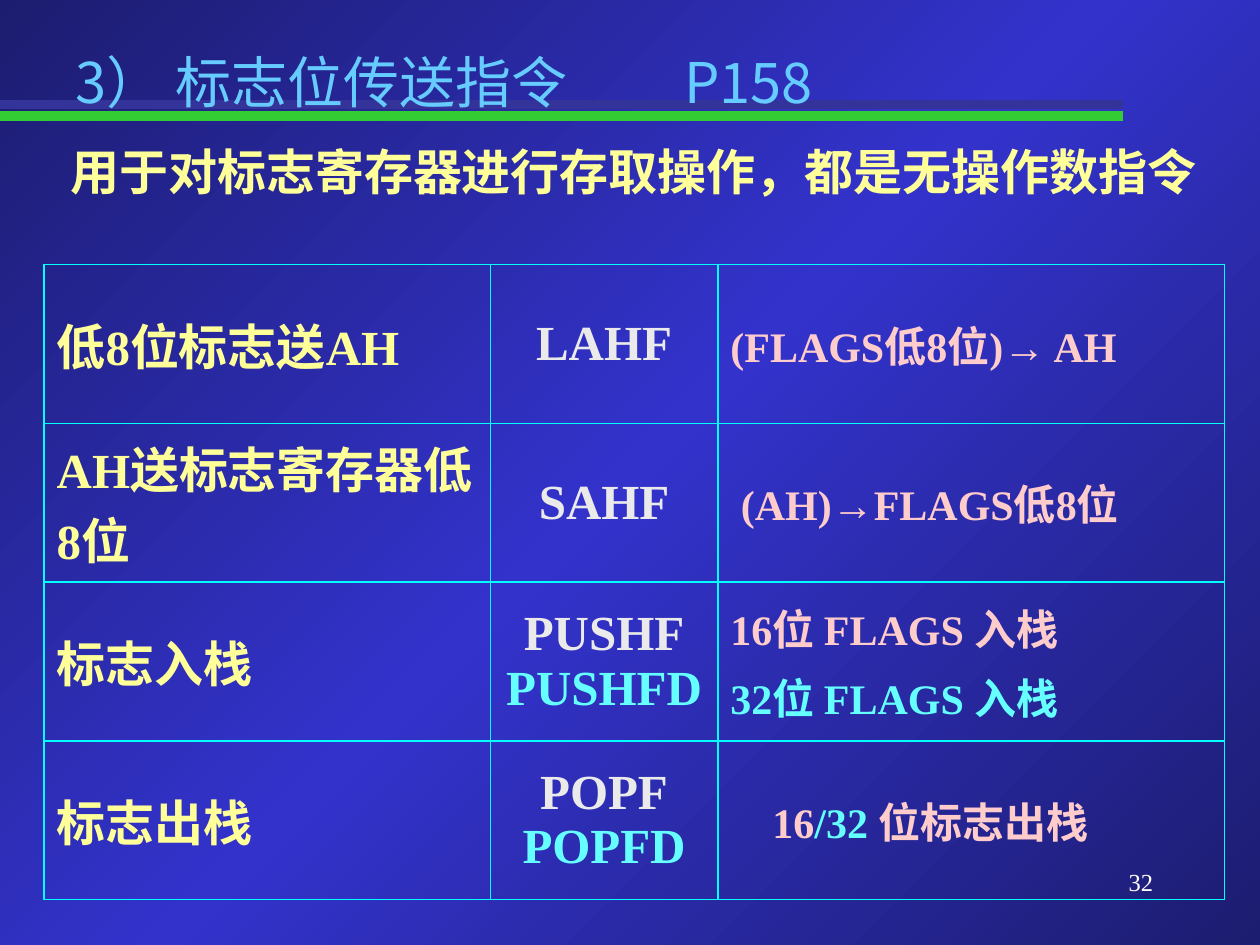
from copy import deepcopy

from lxml import etree
from pptx import Presentation
from pptx.dml.color import RGBColor
from pptx.enum.shapes import MSO_CONNECTOR
from pptx.enum.text import MSO_ANCHOR, PP_ALIGN
from pptx.oxml.ns import qn
from pptx.util import Pt

STRAIGHT = MSO_CONNECTOR.STRAIGHT
TOP, MIDDLE = MSO_ANCHOR.TOP, MSO_ANCHOR.MIDDLE
LEFT, CENTER, RIGHT = PP_ALIGN.LEFT, PP_ALIGN.CENTER, PP_ALIGN.RIGHT

SERIF, SANS = "Times New Roman", "Noto Sans CJK SC"
COLORS = {
    "bg_dark": "1C1C70", "bg_light": "3333CC",
    "green": "33CC33", "navy": "333399", "border": "00FFFF",
    "title": "66CCFF", "yellow": "FFFF99", "gray": "EAEAEA",
    "pink": "FFCCCC", "cyan": "66FFFF", "white": "FFFFFF",
}

# Content: a cell is a list of paragraphs, a paragraph a list of (text, colour)
TITLE = "3） 标志位传送指令\tP158"
SUBTITLE = "用于对标志寄存器进行存取操作，都是无操作数指令"
PAGE = "32"
ROWS = [
    ([[("低8位标志送AH", "yellow")]],
     [[("LAHF", "gray")]],
     [[("(FLAGS低8位)→ AH", "pink")]]),
    ([[("AH送标志寄存器低8位", "yellow")]],
     [[("SAHF", "gray")]],
     [[("(AH)→FLAGS低8位", "pink")]]),
    ([[("标志入栈", "yellow")]],
     [[("PUSHF\n", "gray"), ("PUSHFD", "cyan")]],
     [[("16位 FLAGS 入栈", "pink")], [("32位 FLAGS 入栈", "cyan")]]),
    ([[("标志出栈", "yellow")]],
     [[("POPF\n", "gray"), ("POPFD", "cyan")]],
     [[("16", "pink"), ("/32 ", "cyan"), ("位标志出栈", "pink")]]),
]
# Column: width, alignment, text size
COLUMNS = [(255, LEFT, 28), (130, CENTER, 28), (289.5, LEFT, 24)]
INDENTS = {(1, 2): 6, (3, 2): 24}
TABLE_LEFT, TABLE_TOP, ROW_HEIGHT = 25.2, 151.2, 90.72
RULES = [(66.2, "green"), (59.8, "navy")]
RULE_LENGTH, RULE_WIDTH = 642, 5.5
TITLE_TAB = 348


def rgb(name):
    return RGBColor.from_string(COLORS[name])


def add_run(p, text, color, size, latin=SERIF, bold=False):
    r = p.add_run()
    r.text = text.rstrip("\n")
    r.font.size = Pt(size)
    r.font.bold = bold
    r.font.name = latin
    r.font.color.rgb = rgb(color)
    etree.SubElement(r._r.get_or_add_rPr(), qn("a:ea"), typeface=SANS)
    if text.endswith("\n"):
        p.add_line_break()


def add_text(slide, box, text, color, size, align=LEFT, anchor=TOP,
             wrap=True, **font):
    sp = slide.shapes.add_textbox(*(Pt(v) for v in box))
    tf = sp.text_frame
    tf.word_wrap = wrap
    tf.vertical_anchor = anchor
    p = tf.paragraphs[0]
    p.alignment = align
    for i, part in enumerate(text.split("\t")):
        if i:
            tabs = etree.SubElement(p._p.get_or_add_pPr(), qn("a:tabLst"))
            etree.SubElement(tabs, qn("a:tab"), pos=str(Pt(TITLE_TAB)), algn="l")
            part = "\t" + part
        add_run(p, part, color, size, **font)


def set_background(slide):
    fill = slide.background.fill
    fill.gradient()
    fill.gradient_angle = 315
    stops = slide._element.find(".//" + qn("a:gsLst"))
    stops.insert(1, deepcopy(stops[0]))
    names = ["bg_dark", "bg_light", "bg_dark"]
    for i, (stop, name) in enumerate(zip(fill.gradient_stops, names)):
        stop.position = i / 2
        stop.color.rgb = rgb(name)


def set_borders(cell):
    tcPr = cell._tc.get_or_add_tcPr()
    for side in ("lnL", "lnR", "lnT", "lnB"):
        ln = etree.SubElement(tcPr, qn("a:" + side), w=str(Pt(1)))
        solid = etree.SubElement(ln, qn("a:solidFill"))
        etree.SubElement(solid, qn("a:srgbClr"), val=COLORS["border"])


def fill_cell(cell, paragraphs, align, size, indent):
    set_borders(cell)
    cell.fill.background()
    cell.vertical_anchor = MIDDLE
    tf = cell.text_frame
    for i, runs in enumerate(paragraphs):
        p = tf.add_paragraph() if i else tf.paragraphs[0]
        p.alignment = align
        if i:
            p.space_before = Pt(size * 0.2)
        if indent:
            p._p.get_or_add_pPr().set("marL", str(Pt(indent)))
        for text, color in runs:
            add_run(p, text, color, size, bold=True)


def add_instruction_table(slide):
    width = sum(c[0] for c in COLUMNS)
    frame = slide.shapes.add_table(
        len(ROWS), len(COLUMNS), Pt(TABLE_LEFT), Pt(TABLE_TOP),
        Pt(width), Pt(ROW_HEIGHT * len(ROWS)))
    table = frame.table
    table.first_row = table.horz_banding = False
    for c, (col_width, align, size) in enumerate(COLUMNS):
        table.columns[c].width = Pt(col_width)
        for r, row in enumerate(ROWS):
            fill_cell(table.cell(r, c), row[c], align, size,
                      INDENTS.get((r, c), 0))


def main():
    prs = Presentation()
    prs.slide_width, prs.slide_height = Pt(720), Pt(540)
    slide = prs.slides.add_slide(prs.slide_layouts[6])
    set_background(slide)

    # Double rule under the title
    for y, color in RULES:
        line = slide.shapes.add_connector(
            STRAIGHT, Pt(0), Pt(y), Pt(RULE_LENGTH), Pt(y))
        line.line.color.rgb = rgb(color)
        line.line.width = Pt(RULE_WIDTH)
        etree.SubElement(line._element.spPr, qn("a:effectLst"))

    # Page number, title, table and summary
    add_text(slide, (516, 492, 150, 36), PAGE, "white", 14, align=RIGHT)
    add_text(slide, (36, 21.6, 648, 49.7), TITLE, "title", 32,
             anchor=MIDDLE, latin=SANS)
    add_instruction_table(slide)
    add_text(slide, (31, 77, 661.7, 41), SUBTITLE, "yellow", 28,
             align=CENTER, anchor=MIDDLE, wrap=False, bold=True)

    prs.save("out.pptx")


if __name__ == "__main__":
    main()
